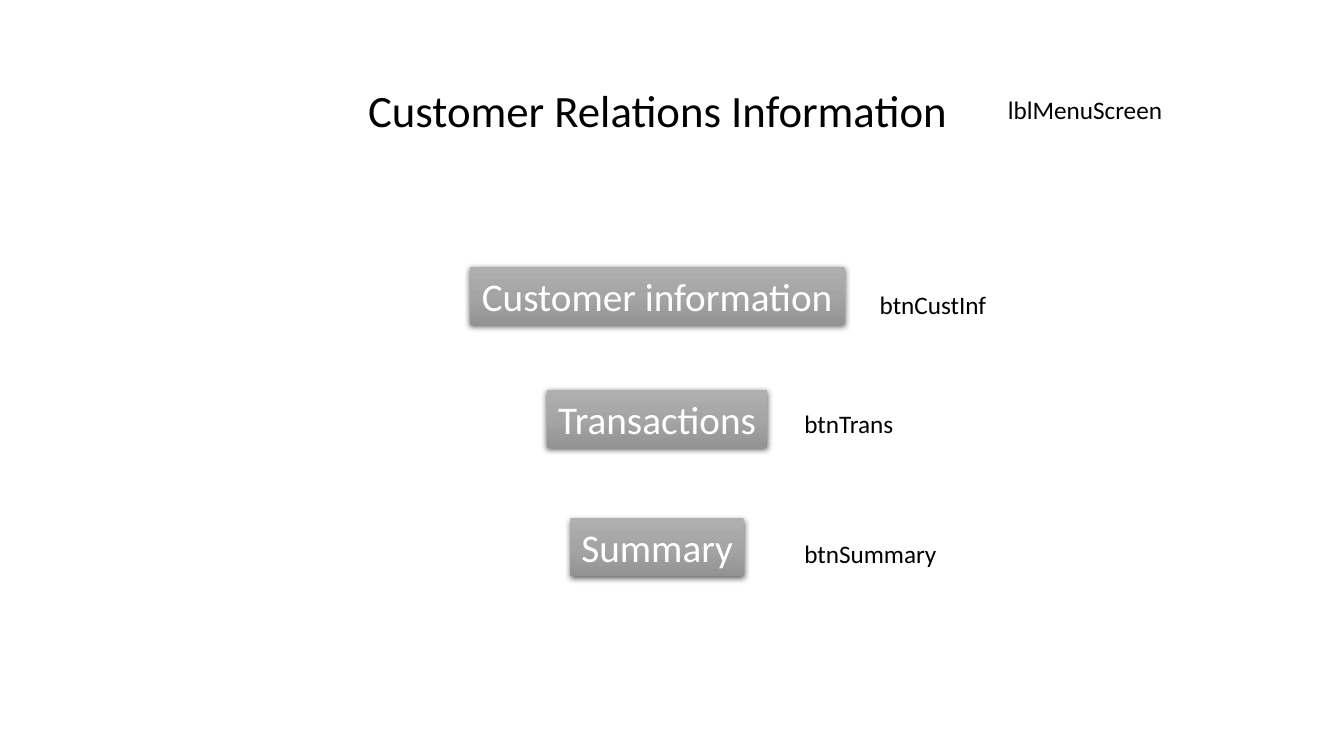
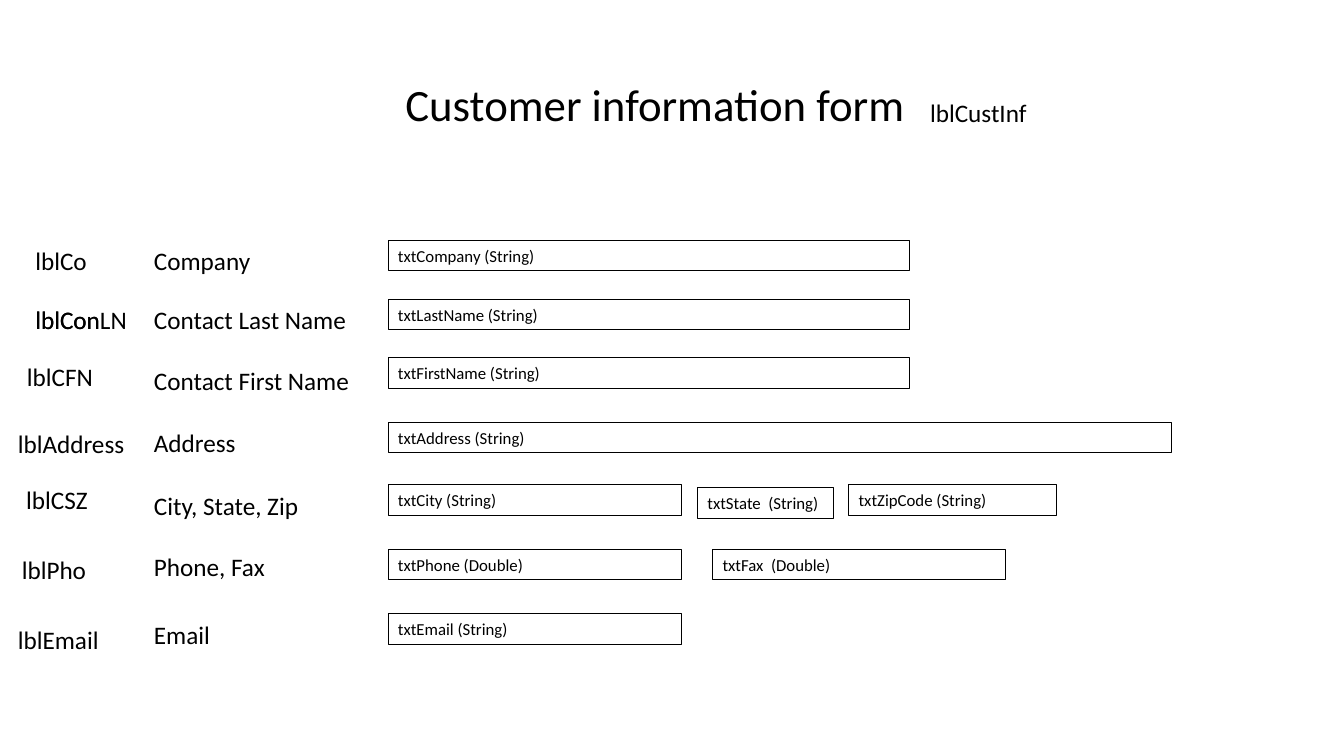
from pptx import Presentation
from pptx.dml.color import RGBColor
from pptx.enum.shapes import MSO_SHAPE as SHAPE
from pptx.enum.text import MSO_ANCHOR as ANCHOR, MSO_AUTO_SIZE as FIT, PP_ALIGN as ALIGN
from pptx.oxml import parse_xml
from pptx.oxml.ns import nsdecls
from pptx.util import Cm, Pt
from copy import deepcopy

FONT = "Calibri"
BLACK, WHITE = "000000", "FFFFFF"
BUTTON_STOPS = [(0, "AFAFAF"), (0.5, "A5A5A5"), (1, "939393")]
TITLE_ONLY = 5

BUTTON_CENTER, BUTTON_H = 16.56, 1.45
LABEL_H, FIELD_H = 1.03, 0.77
TAG_W, CAPTION_X, CAPTION_W = 3.3, 3.63, 5.6
FIELD_X, SHORT, MEDIUM, LONG = 9.78, 7.39, 13.13, 19.74

BUTTONS = [("Customer information", 6.73, 9.45),
           ("Transactions", 9.83, 5.56),
           ("Summary", 13.06, 4.37)]
BUTTON_TAGS = [("btnCustInf", 21.92, 7.16),
               ("btnTrans", 20.02, 10.16),
               ("btnSummary", 20.02, 13.44)]

CAPTIONS = [("Company", 6.05), ("Contact Last Name", 7.54),
            ("Contact First Name", 9.07), ("Address", 10.64),
            ("City, State, Zip", 12.22), ("Phone, Fax", 13.77),
            ("Email", 15.47)]
FORM_TAGS = [("lblCo", 0.64, 6.05), ("lblCon", 0.64, 7.54),
             ("lblConLN", 0.64, 7.54), ("lblCFN", 0.43, 8.97),
             ("lblAddress", 0.2, 10.67), ("lblCSZ", 0.41, 12.09),
             ("lblPho", 0.3, 13.84), ("lblEmail", 0.2, 15.6)]
FIELDS = [("txtCompany (String)", FIELD_X, 6.05, MEDIUM),
          ("txtLastName (String)", FIELD_X, 7.54, MEDIUM),
          ("txtFirstName (String)", FIELD_X, 9.02, MEDIUM),
          ("txtAddress (String)", FIELD_X, 10.64, LONG),
          ("txtCity (String)", FIELD_X, 12.22, SHORT),
          ("txtState  (String)", 17.58, 12.29, 3.43),
          ("txtZipCode (String)", 21.39, 12.22, 5.23),
          ("txtPhone (Double)", FIELD_X, 13.84, SHORT),
          ("txtFax  (Double)", 17.96, 13.84, SHORT),
          ("txtEmail (String)", FIELD_X, 15.47, SHORT)]


def rgb(color):
    """Turn a hex string into a colour."""
    return RGBColor.from_string(color)


def set_all(obj, values):
    """Set every attribute of obj named in values."""
    for name, value in values.items():
        setattr(obj, name, value)


def write(sp, text, size, color=BLACK, align=ALIGN.LEFT, anchor=ANCHOR.TOP, wrap=True):
    """Put one formatted line of text into a shape."""
    tf = sp.text_frame
    set_all(tf, {"word_wrap": wrap, "auto_size": FIT.SHAPE_TO_FIT_TEXT,
                 "vertical_anchor": anchor})
    p = tf.paragraphs[0]
    p.alignment = align
    r = p.add_run()
    r.text = text
    set_all(r.font, {"name": FONT, "size": Pt(size)})
    r.font.color.rgb = rgb(color)


def add_titled_slide(prs, text, x, y, w):
    """Add a title-only slide with its title placed and formatted."""
    slide = prs.slides.add_slide(prs.slide_layouts[TITLE_ONLY])
    sp = slide.shapes.title
    set_all(sp, {"left": Cm(x), "top": Cm(y), "width": Cm(w), "height": Cm(1.62)})
    write(sp, text, 32)
    return slide


def add_label(slide, text, x, y, w):
    """Add a plain text label."""
    sp = slide.shapes.add_textbox(Cm(x), Cm(y), Cm(w), Cm(LABEL_H))
    write(sp, text, 18)


def add_rect(slide, x, y, w, h):
    """Add a rectangle with no theme shadow."""
    sp = slide.shapes.add_shape(SHAPE.RECTANGLE, Cm(x), Cm(y), Cm(w), Cm(h))
    sp.shadow.inherit = False
    return sp


def add_field(slide, text, x, y, w):
    """Add an outlined input field."""
    sp = add_rect(slide, x, y, w, FIELD_H)
    sp.fill.background()
    sp.line.color.rgb = rgb(BLACK)
    sp.line.width = Pt(0.75)
    write(sp, text, 12, anchor=ANCHOR.MIDDLE)


def shade(sp):
    """Give a shape the vertical button gradient."""
    sp.fill.gradient()
    sp.fill.gradient_angle = 270
    first = sp.fill._xPr.find(".//{*}gs")
    first.addnext(deepcopy(first))
    for stop, (position, color) in zip(sp.fill.gradient_stops, BUTTON_STOPS):
        stop.position = position
        stop.color.rgb = rgb(color)


def drop_shadow(sp):
    """Add a soft shadow below a shape."""
    effects = sp._element.spPr.find("{*}effectLst")
    effects.append(parse_xml(
        f'<a:outerShdw {nsdecls("a")} blurRad="{Pt(4.5)}" dist="{Pt(1.5)}" '
        f'dir="5400000" algn="ctr" rotWithShape="0"><a:srgbClr val="{BLACK}">'
        '<a:alpha val="63000"/></a:srgbClr></a:outerShdw>'))


def add_button(slide, text, y, w):
    """Add a shaded button on the shared centre line."""
    sp = add_rect(slide, BUTTON_CENTER - w / 2, y, w, BUTTON_H)
    shade(sp)
    sp.line.fill.background()
    drop_shadow(sp)
    write(sp, text, 28, WHITE, ALIGN.CENTER, ANCHOR.MIDDLE, wrap=False)


def build_menu(prs):
    """Build the menu screen."""
    slide = add_titled_slide(prs, "Customer Relations Information", 9.02, 1.96, 15.29)
    for button in BUTTONS:
        add_button(slide, *button)
    for text, x, y in BUTTON_TAGS:
        add_label(slide, text, x, y, 4.27)
    add_label(slide, "lblMenuScreen", 25.15, 2.26, 4.65)


def build_form(prs):
    """Build the customer information form."""
    slide = add_titled_slide(prs, "Customer information form", 9.96, 1.8, 13.23)
    add_label(slide, "lblCustInf", 23.19, 2.34, 5)
    for field in FIELDS:
        add_field(slide, *field)
    for text, y in CAPTIONS:
        add_label(slide, text, CAPTION_X, y, CAPTION_W)
    for text, x, y in FORM_TAGS:
        add_label(slide, text, x, y, TAG_W)


def main():
    """Build and save the presentation."""
    prs = Presentation()
    set_all(prs, {"slide_width": Cm(33.87), "slide_height": Cm(19.05)})
    build_menu(prs)
    build_form(prs)
    prs.save("out.pptx")


if __name__ == "__main__":
    main()
